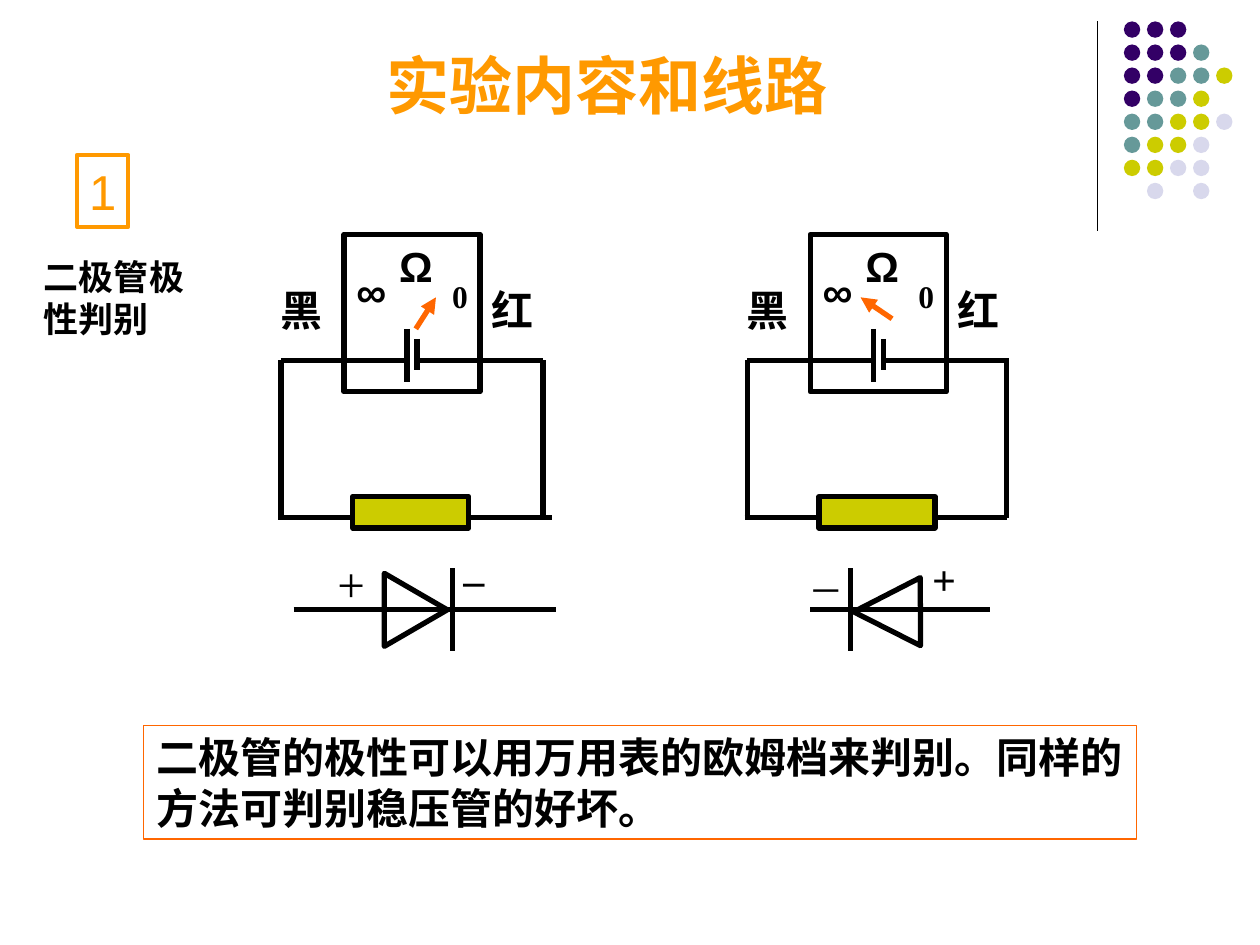
from pptx import Presentation
from pptx.dml.color import RGBColor
from pptx.enum.shapes import MSO_CONNECTOR as CONN, MSO_SHAPE as SHAPE
from pptx.enum.text import MSO_ANCHOR as ANCHOR, MSO_AUTO_SIZE as AUTO, PP_ALIGN as ALIGN
from pptx.oxml.ns import qn
from pptx.util import Inches, Pt
from lxml.etree import SubElement

BLACK, ORANGE, RED, OLIVE = "000000", "FF9900", "FF6600", "CCCC00"
LATIN, SERIF, CJK = "Arial", "Times New Roman", "Noto Sans CJK SC"

TITLE = "实验内容和线路"
LABEL = "二极管极性判别"
NOTE = "二极管的极性可以用万用表的欧姆档来判别。同样的方法可判别稳压管的好坏。"

DOTS = ["PPP", "PPPT", "PPTTO", "PTTO", "TTOOL", "TOOL", "OOLL", " L L"]
DOT_COLORS = {"P": "330066", "T": "669999", "O": OLIVE, "L": "D8D8EC"}
DOT_LEFT, DOT_TOP, DOT_SIZE, DOT_STEP = 8.92, 0.17, 0.13, 0.183

METER_TEXTS = [
    ("Ω", (0.84, 0, 0.45, 0.5), LATIN, 24),
    ("∞", (0.5, 0.2, 0.45, 0.5), LATIN, 24),
    ("0", (1.26, 0.29, 0.32, 0.4), SERIF, 18),
    ("黑", (-0.1, 0.35, 0.53, 0.5), SERIF, 24),
    ("红", (1.57, 0.35, 0.53, 0.5), SERIF, 24),
]
CIRCUITS = [
    dict(left=2.23, right=2.08, end=2.15, needle=(1.07, 0.75, 1.23, 0.5)),
    dict(left=5.93, right=2.06, end=2.06, needle=(1.15, 0.67, 0.9, 0.5)),
]
CIRCUIT_TOP, WIRE, BASE = 1.86, 1, 2.25

DIODES = [
    dict(wire=(2.33, 4.41), bar=3.59, triangle=(3.01, 4.59, 0.58, 0.5), turn=90,
         signs=[("+", (2.58, 4.34, 0.42, 0.57), 28, False),
                ("–", (3.58, 4.34, 0.36, 0.5), 24, True)]),
    dict(wire=(6.43, 7.86), bar=6.75, triangle=(6.77, 4.59, 0.54, 0.53), turn=269.8,
         signs=[("–", (6.36, 4.34, 0.39, 0.57), 28, False),
                ("+", (7.3, 4.34, 0.39, 0.5), 24, True)]),
]
DIODE_Y, BAR_TOP, BAR_BOTTOM = 4.84, 4.51, 5.17


def rgb(color):
    return RGBColor.from_string(color)


def write(sp, text, size, font=SERIF, color=BLACK, bold=True, wrap=False,
          anchor=ANCHOR.TOP, grow=True):
    tf = sp.text_frame
    tf.word_wrap = wrap
    tf.auto_size = AUTO.SHAPE_TO_FIT_TEXT if grow else AUTO.NONE
    tf.vertical_anchor = anchor
    tf.margin_left = tf.margin_right = Inches(0.1)
    tf.margin_top = tf.margin_bottom = Inches(0.05)
    p = tf.paragraphs[0]
    p.alignment = ALIGN.LEFT
    r = p.add_run()
    r.text = text
    r.font.name, r.font.size, r.font.bold = font, Pt(size), bold
    r.font.color.rgb = rgb(color)
    if text >= "一":
        SubElement(r.font._element, qn("a:ea"), typeface=CJK)


def add_text(shapes, text, box, size, **fmt):
    write(shapes.add_textbox(*map(Inches, box)), text, size, **fmt)


def add_box(shapes, kind, box, fill=None, line=None, width=3):
    sp = shapes.add_shape(kind, *map(Inches, box))
    sp.shadow.inherit = False
    if fill:
        sp.fill.solid()
        sp.fill.fore_color.rgb = rgb(fill)
    else:
        sp.fill.background()
    if line:
        sp.line.color.rgb = rgb(line)
        sp.line.width = Pt(width)
    else:
        sp.line.fill.background()
    return sp


def add_line(shapes, x1, y1, x2, y2, color=BLACK, width=3, arrow=False):
    sp = shapes.add_connector(CONN.STRAIGHT, *map(Inches, (x1, y1, x2, y2)))
    sp.line.color.rgb = rgb(color)
    sp.line.width = Pt(width)
    if arrow:
        SubElement(sp.line._get_or_add_ln(), qn("a:tailEnd"), type="triangle")
    SubElement(sp._element.spPr, qn("a:effectLst"))


def add_dots(shapes):
    group = shapes.add_group_shape().shapes
    for row, codes in enumerate(DOTS):
        for col, code in enumerate(codes):
            if code in DOT_COLORS:
                box = (DOT_LEFT + col * DOT_STEP, DOT_TOP + row * DOT_STEP, DOT_SIZE, DOT_SIZE)
                add_box(group, SHAPE.OVAL, box, DOT_COLORS[code])


def add_circuit(shapes, left, right, end, needle):
    group = shapes.add_group_shape().shapes

    def place(x, y, w, h):
        return left + x, CIRCUIT_TOP + y, w, h

    def wire(x1, y1, x2, y2, **fmt):
        add_line(group, left + x1, CIRCUIT_TOP + y1, left + x2, CIRCUIT_TOP + y2, **fmt)

    add_box(group, SHAPE.RECTANGLE, place(0.5, 0, 1.08, 1.25), line=BLACK)
    for text, box, font, size in METER_TEXTS:
        add_text(group, text, place(*box), size, font=font)
    for ends in [
        (1, 0.75, 1, 1.17), (1.08, 0.83, 1.08, 1.08),
        (0, WIRE, 1, WIRE), (1.08, WIRE, 2.08, WIRE),
        (0, WIRE, 0, BASE), (right, WIRE, right, BASE),
        (-0.02, BASE, 0.57, BASE), (1.48, BASE, end, BASE),
    ]:
        wire(*ends)
    wire(*needle, color=RED, arrow=True)
    add_box(group, SHAPE.RECTANGLE, place(0.57, 2.08, 0.92, 0.25), OLIVE, BLACK)


def add_diode(shapes, wire, bar, triangle, turn, signs):
    group = shapes.add_group_shape().shapes
    add_box(group, SHAPE.ISOSCELES_TRIANGLE, triangle, line=BLACK).rotation = turn
    add_line(group, bar, BAR_TOP, bar, BAR_BOTTOM)
    add_line(group, wire[0], DIODE_Y, wire[1], DIODE_Y)
    for text, box, size, bold in signs:
        add_text(group, text, box, size, bold=bold)


def main():
    prs = Presentation()
    prs.slide_width, prs.slide_height = Inches(10), Inches(7.5)
    s = prs.slides.add_slide(prs.slide_layouts[5])
    shapes = s.shapes

    add_line(shapes, 8.71, 0.17, 8.71, 1.83, width=0.75)
    add_dots(shapes)

    title = shapes.title
    title.left, title.top, title.width, title.height = map(Inches, (2.97, 0.32, 3.93, 0.7))
    write(title, TITLE, 36, font=LATIN, color=ORANGE, wrap=True, grow=False)

    add_text(shapes, LABEL, (0.25, 1.98, 1.55, 0.77), 20, wrap=True, anchor=ANCHOR.MIDDLE)
    number = add_box(shapes, SHAPE.RECTANGLE, (0.61, 1.23, 0.41, 0.57), line=ORANGE, width=2.25)
    write(number, "1", 28, font=LATIN, color=ORANGE, bold=False)
    note = add_box(shapes, SHAPE.RECTANGLE, (1.14, 5.76, 7.88, 0.9), line=RED, width=0.75)
    write(note, NOTE, 24, font=CJK, wrap=True)

    for circuit in CIRCUITS:
        add_circuit(shapes, **circuit)
    for diode in DIODES:
        add_diode(shapes, **diode)
    prs.save("out.pptx")


if __name__ == "__main__":
    main()
